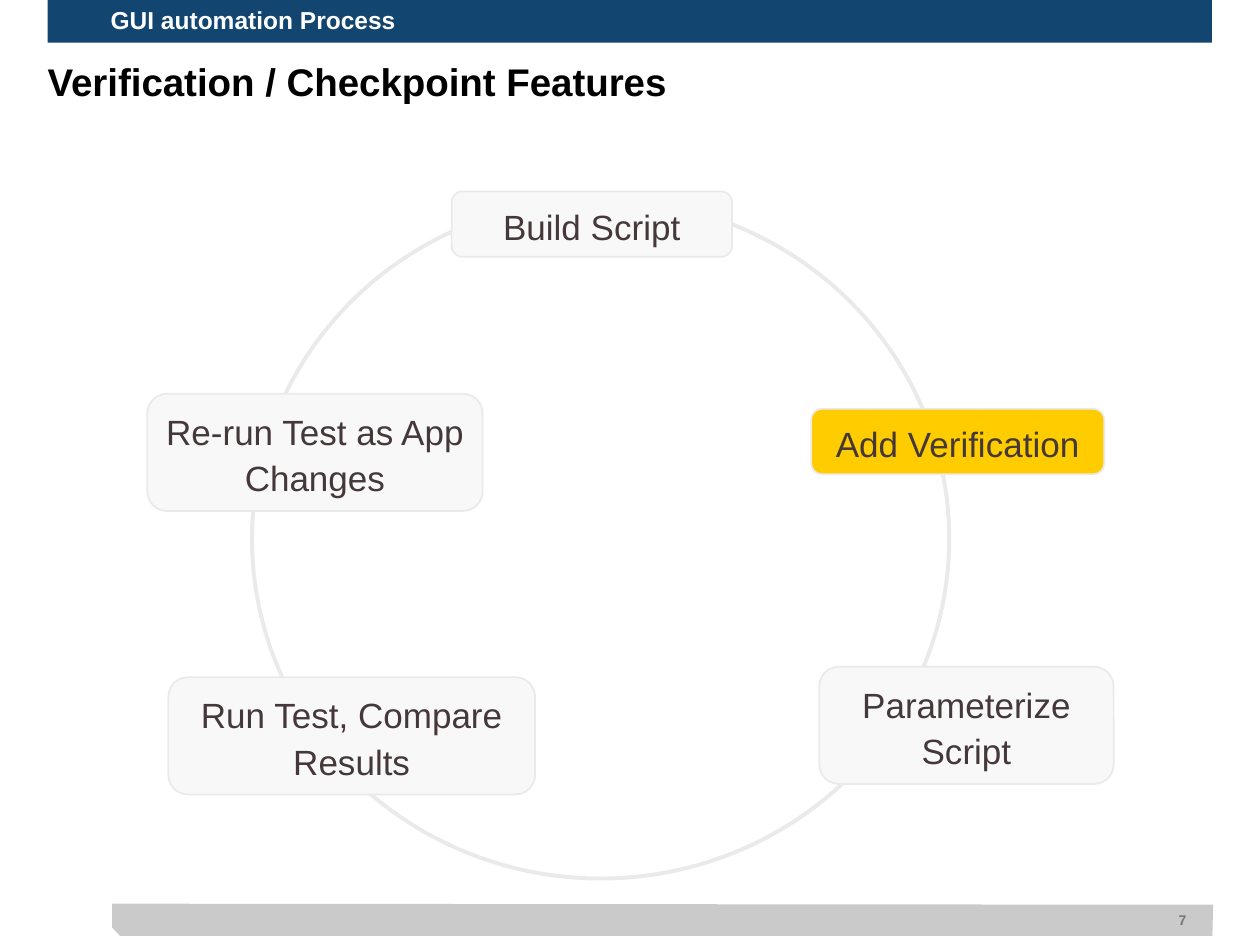
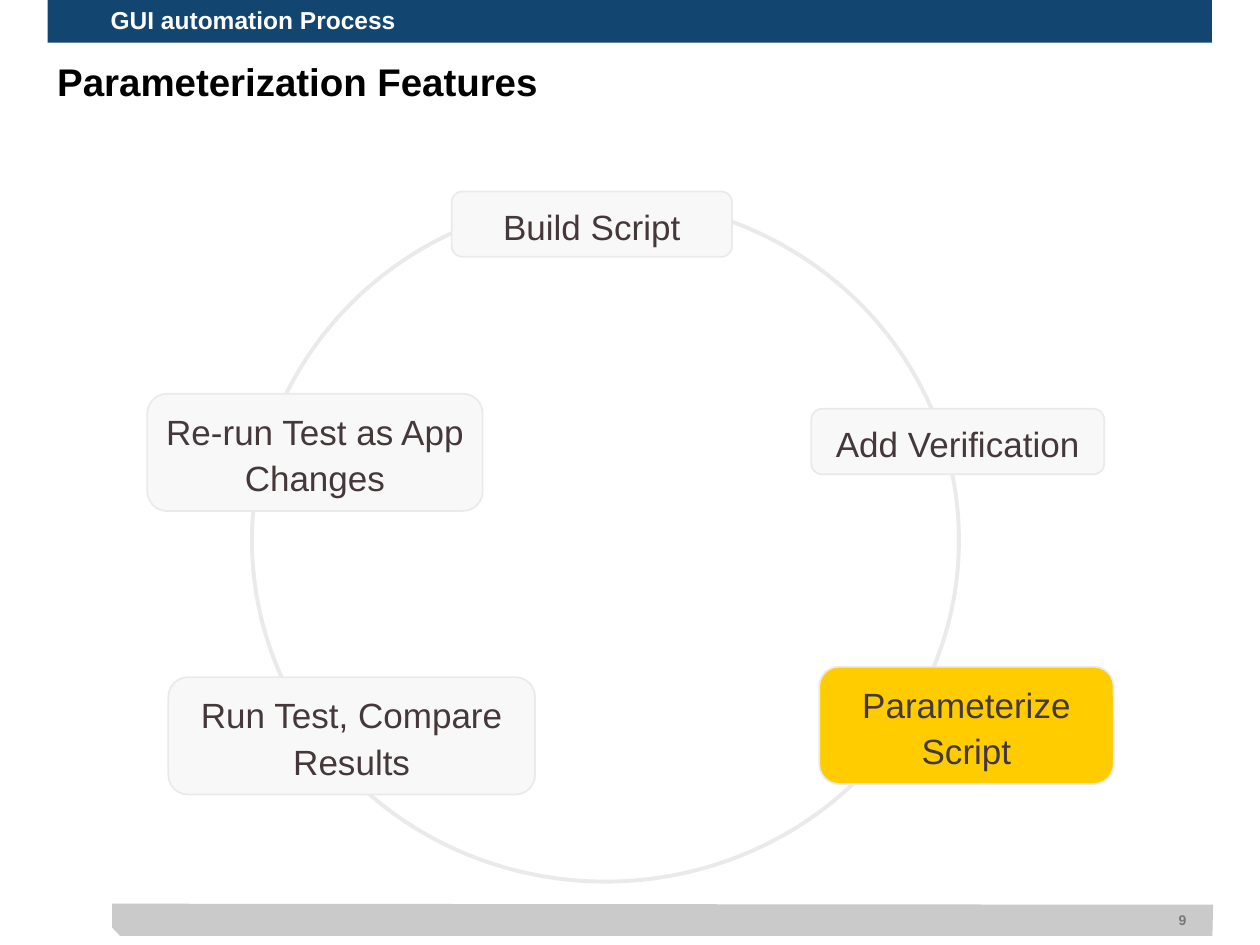
from dataclasses import dataclass

from pptx import Presentation
from pptx.dml.color import RGBColor
from pptx.enum import shapes, text
from pptx.util import Pt

NAVY = RGBColor(0x12, 0x45, 0x70)
WHITE = RGBColor(0xFF, 0xFF, 0xFF)
BLACK = RGBColor(0x00, 0x00, 0x00)
FOOTER_GRAY = RGBColor(0xCA, 0xCA, 0xCA)
NUMBER_GRAY = RGBColor(0x77, 0x77, 0x77)
OUTLINE = RGBColor(0xEA, 0xEA, 0xEA)
PALE = RGBColor(0xF8, 0xF8, 0xF8)
HIGHLIGHT = RGBColor(0xFF, 0xCC, 0x00)
BROWN = RGBColor(0x45, 0x38, 0x3A)

FONT = "Arial"
SECTION = "GUI automation Process"
BAND_LEFT = 27.2
ONE_LINE, TWO_LINES = 37.4, 67  # stage heights


@dataclass(frozen=True)
class Stage:
    label: str
    left: float
    top: float
    width: float
    height: float


@dataclass(frozen=True)
class CycleSlide:
    title: str
    title_indent: float
    number: int
    ring_width: float
    ring_height: float
    current: str


STAGES = (
    Stage("Build Script", 258.1, 109.4, 160.2, ONE_LINE),
    Stage("Re-run Test as App Changes", 84.2, 225, 191.6, TWO_LINES),
    Stage("Run Test, Compare Results", 96.2, 387, 209.6, TWO_LINES),
    Stage("Parameterize Script", 468.2, 381, 168.2, TWO_LINES),
    Stage("Add Verification", 463.6, 233.6, 167.4, ONE_LINE),
)

CYCLES = (
    CycleSlide("Verification / Checkpoint Features", 0, 7, 398.4, 388.2, "Add Verification"),
    CycleSlide("Parameterization Features", 5.5, 9, 404, 390, "Parameterize Script"),
)


def write(shape, content: str, size: float, color: RGBColor, *, bold: bool = False,
          align=text.PP_ALIGN.LEFT, anchor=text.MSO_ANCHOR.MIDDLE,
          spacing: float = 1.0, insets=(0, 0, 0, 0)) -> None:
    """Fill a shape with one formatted run; insets are left, top, right, bottom."""
    frame = shape.text_frame
    frame.word_wrap = True
    frame.auto_size = text.MSO_AUTO_SIZE.NONE
    frame.vertical_anchor = anchor
    (frame.margin_left, frame.margin_top,
     frame.margin_right, frame.margin_bottom) = map(Pt, insets)
    line = frame.paragraphs[0]
    line.alignment = align
    line.line_spacing = spacing
    line.space_before = Pt(0)
    run = line.add_run()
    run.text = content
    run.font.name = FONT
    run.font.size = Pt(size)
    run.font.bold = bold
    run.font.color.rgb = color


def paint(shape, fill: RGBColor | None, line: RGBColor | None = None,
          weight: float = 1) -> None:
    shape.shadow.inherit = False
    if fill is None:
        shape.fill.background()
    else:
        shape.fill.solid()
        shape.fill.fore_color.rgb = fill
    if line is None:
        shape.line.fill.background()
    else:
        shape.line.color.rgb = line
        shape.line.width = Pt(weight)


def add_frame(slide, cycle: CycleSlide) -> None:
    """Footer, page number, title and section band."""
    corners = [(64, 516.4), (64, 530), (68.6, 534.8), (692.8, 534.8), (693.2, 517)]
    start, *rest = [(Pt(x), Pt(y)) for x, y in corners]
    outline = slide.shapes.build_freeform(*start)
    outline.add_line_segments(rest, close=True)
    paint(outline.convert_to_shape(), FOOTER_GRAY)

    number = slide.shapes.add_textbox(Pt(459.4), Pt(520.8), Pt(227.6), Pt(9.4))
    write(number, str(cycle.number), 8, NUMBER_GRAY, bold=True,
          align=text.PP_ALIGN.RIGHT, insets=(0, 0, 9, 0))

    title = slide.shapes.title
    title.left, title.top, title.width, title.height = map(Pt, (BAND_LEFT, 36, 666, 62))
    write(title, cycle.title, 22, BLACK, bold=True, anchor=text.MSO_ANCHOR.TOP,
          spacing=0.9, insets=(cycle.title_indent, 0, 0, 0))

    band = slide.shapes.add_shape(shapes.MSO_SHAPE.RECTANGLE,
                                  Pt(BAND_LEFT), Pt(0), Pt(665.4), Pt(24.4))
    paint(band, NAVY)
    write(band, SECTION, 14, WHITE, bold=True, spacing=0.9, insets=(36, 3.6, 7.2, 3.6))


def add_cycle(slide, cycle: CycleSlide) -> None:
    """Ring with the five stages, the current one highlighted."""
    ring = slide.shapes.add_shape(shapes.MSO_SHAPE.OVAL, Pt(144), Pt(113.8),
                                  Pt(cycle.ring_width), Pt(cycle.ring_height))
    paint(ring, None, OUTLINE, 2.25)
    for stage in STAGES:
        box = slide.shapes.add_shape(shapes.MSO_SHAPE.ROUNDED_RECTANGLE, Pt(stage.left),
                                     Pt(stage.top), Pt(stage.width), Pt(stage.height))
        paint(box, HIGHLIGHT if stage.label == cycle.current else PALE, OUTLINE)
        write(box, stage.label, 20, BROWN, align=text.PP_ALIGN.CENTER,
              spacing=1.1, insets=(3.6,) * 4)


def main() -> None:
    deck = Presentation()
    deck.slide_width, deck.slide_height = Pt(720), Pt(540)
    title_only = deck.slide_layouts.get_by_name("Title Only")
    for cycle in CYCLES:
        slide = deck.slides.add_slide(title_only)
        add_frame(slide, cycle)
        add_cycle(slide, cycle)
    deck.save("out.pptx")


if __name__ == "__main__":
    main()
